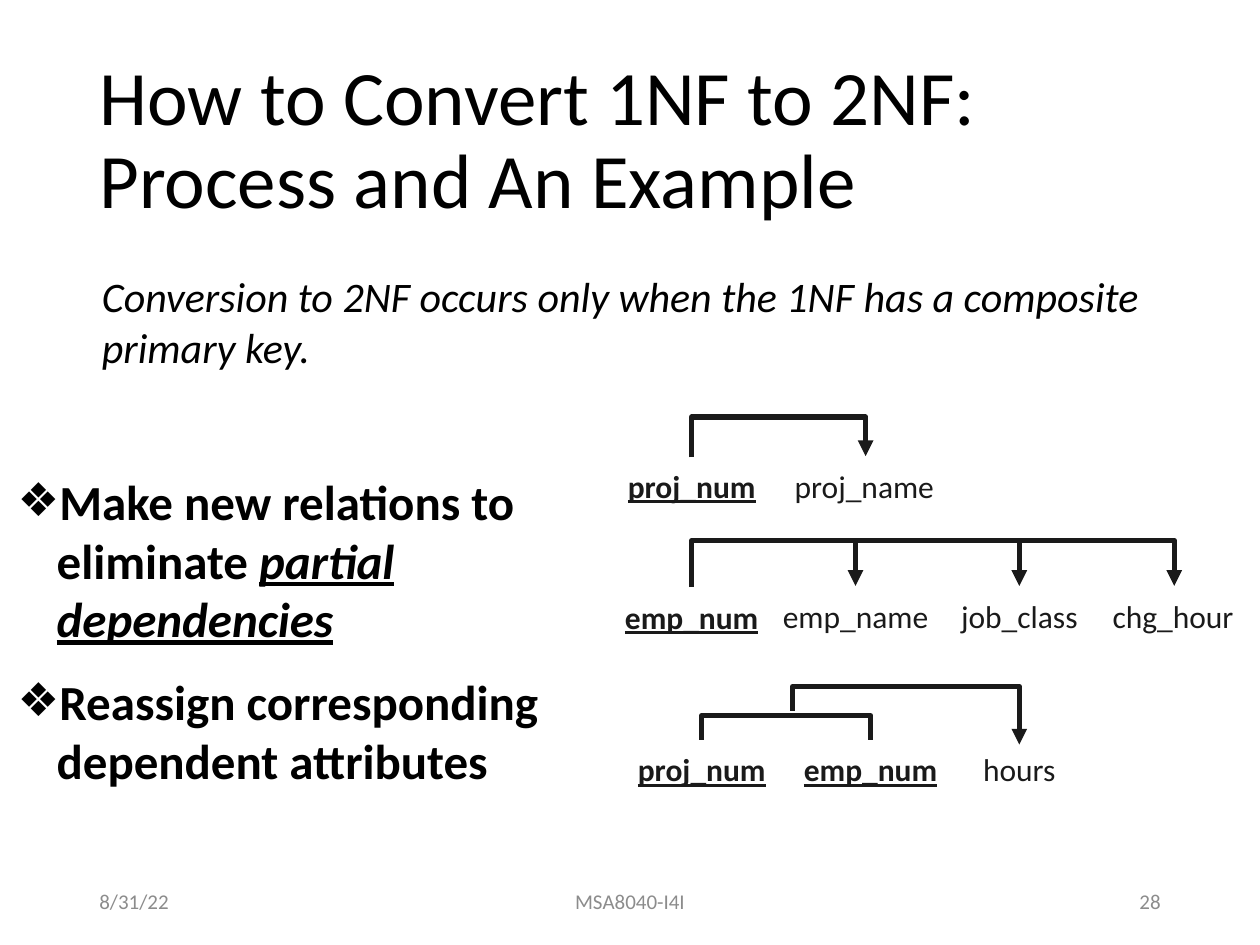
from lxml import etree
from pptx import Presentation
from pptx import util as u
from pptx.dml.color import RGBColor
from pptx.enum import shapes, text
from pptx.oxml.ns import qn

PX = 9144  # EMU per px, 100 px to the inch


def color(value):
    return RGBColor.from_string(value)


class Deck:
    font, black, ink, grey = "Calibri", "000000", "1A1A1A", "8C8C8C"

    def __init__(self, width, height):
        self.prs = Presentation()
        self.prs.slide_width, self.prs.slide_height = width * PX, height * PX
        self.s = self.prs.slides.add_slide(self.prs.slide_layouts[1])

    def place(self, sp, x, y, w, h):
        sp.left, sp.top, sp.width, sp.height = (v * PX for v in (x, y, w, h))

    def style(self, r, size, fill, bold=False, italic=False, underline=False):
        f = r.font
        f.name, f.size, f.color.rgb = self.font, u.Pt(size), color(fill)
        f.bold, f.italic, f.underline = bold, italic, underline

    def title(self, words, *box):
        sp = self.s.shapes.title
        self.place(sp, *box)
        tf = sp.text_frame
        tf.text = words
        tf.auto_size = text.MSO_AUTO_SIZE.NONE
        tf.vertical_anchor = text.MSO_ANCHOR.MIDDLE
        p = tf.paragraphs[0]
        p.alignment, p.line_spacing = text.PP_ALIGN.LEFT, 0.9
        self.style(p.runs[0], 44, self.black)

    def bullets(self, items, *box):
        """Each item is a pair: plain words and emphasised words."""
        sp = self.s.placeholders[1]
        self.place(sp, *box)
        tf = sp.text_frame
        tf.auto_size = text.MSO_AUTO_SIZE.NONE
        tf.vertical_anchor = text.MSO_ANCHOR.TOP
        for i, (plain, stressed) in enumerate(items):
            p = tf.add_paragraph() if i else tf.paragraphs[0]
            p.text = plain
            p.space_before = u.Pt(13.5)
            self.style(p.runs[0], 28, self.black, bold=True)
            if stressed:
                r = p.add_run()
                r.text = stressed
                self.style(r, 28, self.black, True, True, True)
            pPr = p._p.get_or_add_pPr()
            pPr.set("marL", str(31 * PX))
            pPr.set("indent", str(-31 * PX))
            etree.SubElement(pPr, qn("a:buSzPct")).set("val", "95000")
            etree.SubElement(pPr, qn("a:buChar")).set("char", "❖")

    def text(self, words, x, y, w, h, size=18, fill=ink, align="CENTER", anchor="MIDDLE", **look):
        sp = self.s.shapes.add_textbox(x * PX, y * PX, w * PX, h * PX)
        tf = sp.text_frame
        tf.word_wrap = True
        tf.text = words
        tf.vertical_anchor = text.MSO_ANCHOR[anchor]
        p = tf.paragraphs[0]
        p.alignment = text.PP_ALIGN[align]
        self.style(p.runs[0], size, fill, **look)

    def attribute(self, name, center, y, key=False):
        self.text(name, center - 71, y, 142, 47, bold=key, underline=key)

    def stroke(self, sp, arrow):
        sp.line.color.rgb, sp.line.width = color(self.ink), u.Pt(3)
        if arrow:
            etree.SubElement(sp.line._get_or_add_ln(), qn("a:tailEnd")).set("type", "triangle")

    def bracket(self, x1, y1, x2, y2, top, arrow=True):
        fb = self.s.shapes.build_freeform(x1, y1, scale=PX)
        fb.add_line_segments([(x1, top), (x2, top), (x2, y2)], close=False)
        sp = fb.convert_to_shape()
        sp.shadow.inherit = False
        sp.fill.background()
        self.stroke(sp, arrow)

    def arrow(self, x, y1, y2):
        cn = self.s.shapes.add_connector(shapes.MSO_CONNECTOR.STRAIGHT, x * PX, y1 * PX, x * PX, y2 * PX)
        self.stroke(cn, True)
        etree.SubElement(cn._element.spPr, qn("a:effectLst"))


def main():
    d = Deck(1000, 750)

    # Heading, rule and steps
    d.title("How to Convert 1NF to 2NF: Process and An Example", 69, 40, 862, 145)
    d.text("Conversion to 2NF occurs only when the 1NF has a composite primary key.",
           71, 210, 871, 91, 24, d.black, "LEFT", "TOP", italic=True)
    d.bullets([("Make new relations to eliminate ", "partial dependencies"),
               ("Reassign corresponding dependent attributes", "")], 4, 369, 540, 218)

    # Attributes of the three relations: name, centre, top, part of key
    for row in [("proj_num", 549, 362, True), ("proj_name", 686, 362),
                ("emp_num", 549, 466, True), ("emp_name", 679, 465),
                ("job_class", 809, 465), ("chg_hour", 931, 465),
                ("proj_num", 557, 587, True), ("emp_num", 691, 587, True),
                ("hours", 809, 587)]:
        d.attribute(*row)

    # Dependencies
    d.bracket(549, 363, 687, 362, 331)
    d.bracket(549, 466, 932, 465, 429)
    for x in (679, 809):
        d.arrow(x, 430, 465)
    d.bracket(557, 587, 691, 587, 568, arrow=False)
    d.bracket(629, 564, 809, 591, 545)

    # Footer
    for words, x, w, align in [("8/31/22", 69, 225, "LEFT"),
                               ("MSA8040-I4I", 331, 338, "CENTER"),
                               ("28", 706, 225, "RIGHT")]:
        d.text(words, x, 695, w, 40, 12, d.grey, align)

    d.prs.save("out.pptx")


if __name__ == "__main__":
    main()
